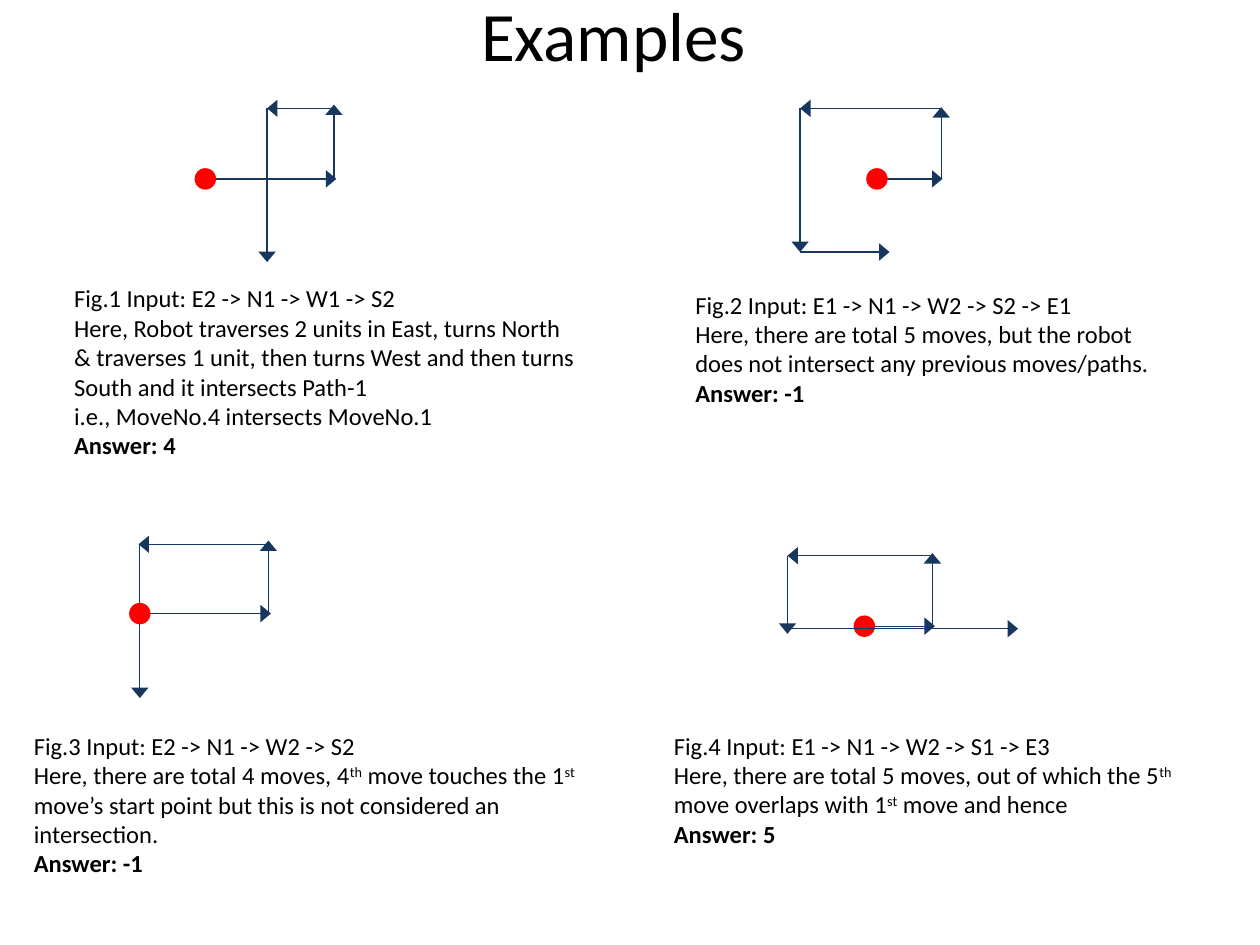
from dataclasses import dataclass

from lxml.etree import SubElement
from pptx import Presentation
from pptx.dml.color import RGBColor
from pptx.enum.shapes import MSO_CONNECTOR as Connector, MSO_SHAPE as Shape
from pptx.enum.text import MSO_ANCHOR as Anchor, PP_ALIGN as Align
from pptx.oxml.ns import qn
from pptx.util import Inches, Pt

NAVY = RGBColor(0x17, 0x37, 0x5E)
RED = RGBColor(0xFF, 0x00, 0x00)
BLACK = RGBColor(0x00, 0x00, 0x00)
FONT = "Calibri"
COLUMNS, ROWS = 100, 75
CELL = Inches(10) // COLUMNS
QUADRANT_WIDTH, QUADRANT_HEIGHT, FIRST_ROW = 50, 35, 5
DOT = 1.7
DOT_AFTER_MOVE = 4
HEADINGS = {"E": (1, 0), "N": (0, -1), "W": (-1, 0), "S": (0, 1)}


@dataclass
class Example:
    """A robot route and its explanation, in cells of its quadrant."""
    start: tuple
    moves: list
    caption_box: tuple
    caption: list


EXAMPLES = [
    Example((16.3, 9.2), [("E", 10.2, 0.2), ("N", 5.6, 0.3), ("W", 5.3, 0), ("S", 12.2, 0)],
            (4.9, 17, 41.7, 15.1),
            ["Fig.1 Input: E2 -> N1 -> W1 -> S2",
             "Here, Robot traverses 2 units in East, turns North & traverses 1 unit, "
             "then turns West and then turns South and it intersects Path-1",
             "i.e., MoveNo.4 intersects MoveNo.1", "Answer: 4"]),
    Example((19.6, 9.2), [("E", 5.1, 0.1), ("N", 5.6, 0.1), ("W", 11.2, 0), ("S", 11.4, 0), ("E", 7.1, 0)],
            (4.2, 17.5, 40.8, 10.4),
            ["Fig.2 Input: E1 -> N1 -> W2 -> S2 -> E1",
             "Here, there are total 5 moves, but the robot does not intersect any previous moves/paths.",
             "Answer: -1"]),
    Example((11.1, 8.7), [("E", 10.2, 0.2), ("N", 5.5, 0.3), ("W", 10.2, 0.1), ("S", 12.2, 0)],
            (1.7, 17.5, 45, 12.8),
            ["Fig.3 Input: E2 -> N1 -> W2 -> S2",
             "Here, there are total 4 moves, 4^th^ move touches the 1^st^ move’s start point "
             "but this is not considered an intersection.",
             "Answer: -1"]),
    Example((18.6, 9.7), [("E", 5.4, 0.2), ("N", 5.6, 0.2), ("W", 11.5, 0), ("S", 5.8, 0.4), ("E", 18.3, 0)],
            (2.5, 17.5, 41.7, 10.4),
            ["Fig.4 Input: E1 -> N1 -> W2 -> S1 -> E3",
             "Here, there are total 5 moves, out of which the 5^th^ move overlaps with 1^st^ move and hence",
             "Answer: 5"]),
]


def cells(*counts):
    """Convert grid cells to slide lengths."""
    return [round(count * CELL) for count in counts]


def style(paragraph, size, bold=None):
    """Set the font that all runs of a paragraph share."""
    font = paragraph.font
    font.name, font.size, font.bold = FONT, Pt(size), bold
    font.color.rgb = BLACK


def add_title(slide, left, top, width, height):
    """Place the centred slide title in its box."""
    frame = slide.shapes.add_textbox(*cells(left, top, width, height)).text_frame
    frame.word_wrap = True
    frame.vertical_anchor = Anchor.MIDDLE
    heading = frame.paragraphs[0]
    heading.text = "Examples"
    heading.alignment = Align.CENTER
    style(heading, 39.6)


def add_move(route, begin, tip):
    """Draw one arrow of the robot's route."""
    arrow = route.shapes.add_connector(Connector.STRAIGHT, *cells(*begin, *tip))
    arrow.line.color.rgb = NAVY
    arrow.line.width = Pt(0.75)
    SubElement(arrow.line._get_or_add_ln(), qn("a:tailEnd"), type="triangle", w="lg", len="med")
    SubElement(arrow._element.spPr, qn("a:effectLst"))


def add_dot(route, x, y):
    """Mark the robot's starting point."""
    dot = route.shapes.add_shape(Shape.OVAL, *cells(x - DOT / 2, y - DOT / 2, DOT, DOT))
    dot.shadow.inherit = False
    dot.fill.solid()
    dot.fill.fore_color.rgb = RED
    dot.line.fill.background()


def add_route(slide, left, top, example):
    """Chain the moves of an example from its starting point."""
    route = slide.shapes.add_group_shape()
    start = x, y = left + example.start[0], top + example.start[1]
    for number, (heading, length, overshoot) in enumerate(example.moves, 1):
        dx, dy = HEADINGS[heading]
        reach = length + overshoot
        add_move(route, (x, y), (x + dx * reach, y + dy * reach))
        x, y = x + dx * length, y + dy * length
        if number == DOT_AFTER_MOVE:
            add_dot(route, *start)


def add_caption(slide, left, top, example):
    """Write the explanation, raising the parts between carets."""
    x, y, width, height = example.caption_box
    frame = slide.shapes.add_textbox(*cells(left + x, top + y, width, height)).text_frame
    frame.word_wrap = True
    for index, line in enumerate(example.caption):
        paragraph = frame.add_paragraph() if index else frame.paragraphs[0]
        style(paragraph, 14, line.startswith("Answer") or None)
        for part, words in enumerate(line.split("^")):
            run = paragraph.add_run()
            run.text = words
            if part % 2:
                run.font._element.set("baseline", "30000")


def add_example(slide, left, top, example):
    """Place a route and its caption in one quadrant."""
    add_caption(slide, left, top, example)
    add_route(slide, left, top, example)


def build():
    """Build the slide of four examples."""
    deck = Presentation()
    deck.slide_width, deck.slide_height = cells(COLUMNS, ROWS)
    slide = deck.slides.add_slide(deck.slide_layouts[6])
    add_title(slide, 3.7, 0, 90, 5.3)
    for index, example in enumerate(EXAMPLES):
        row, column = divmod(index, 2)
        add_example(slide, column * QUADRANT_WIDTH, FIRST_ROW + row * QUADRANT_HEIGHT, example)
    deck.save("out.pptx")


build()
